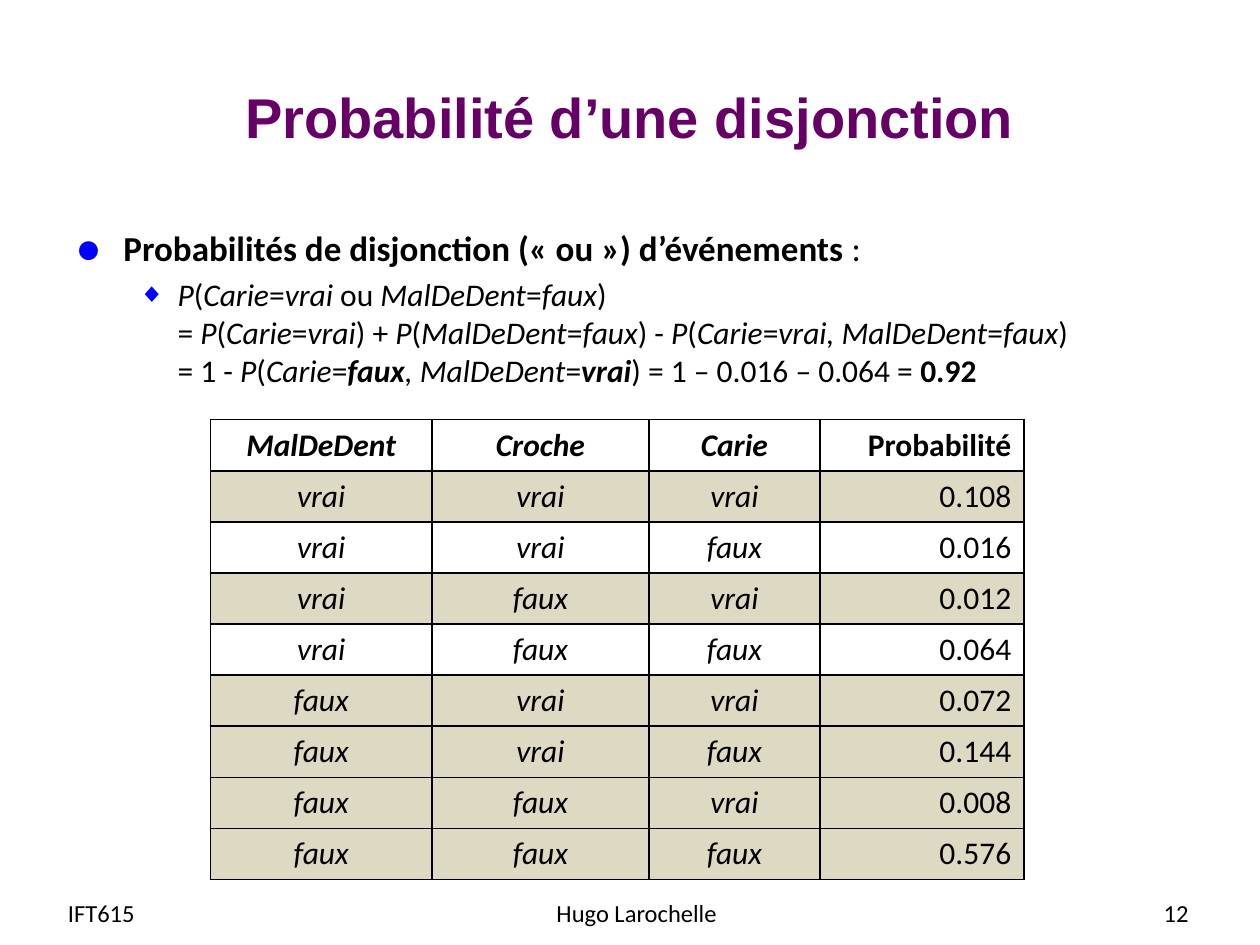
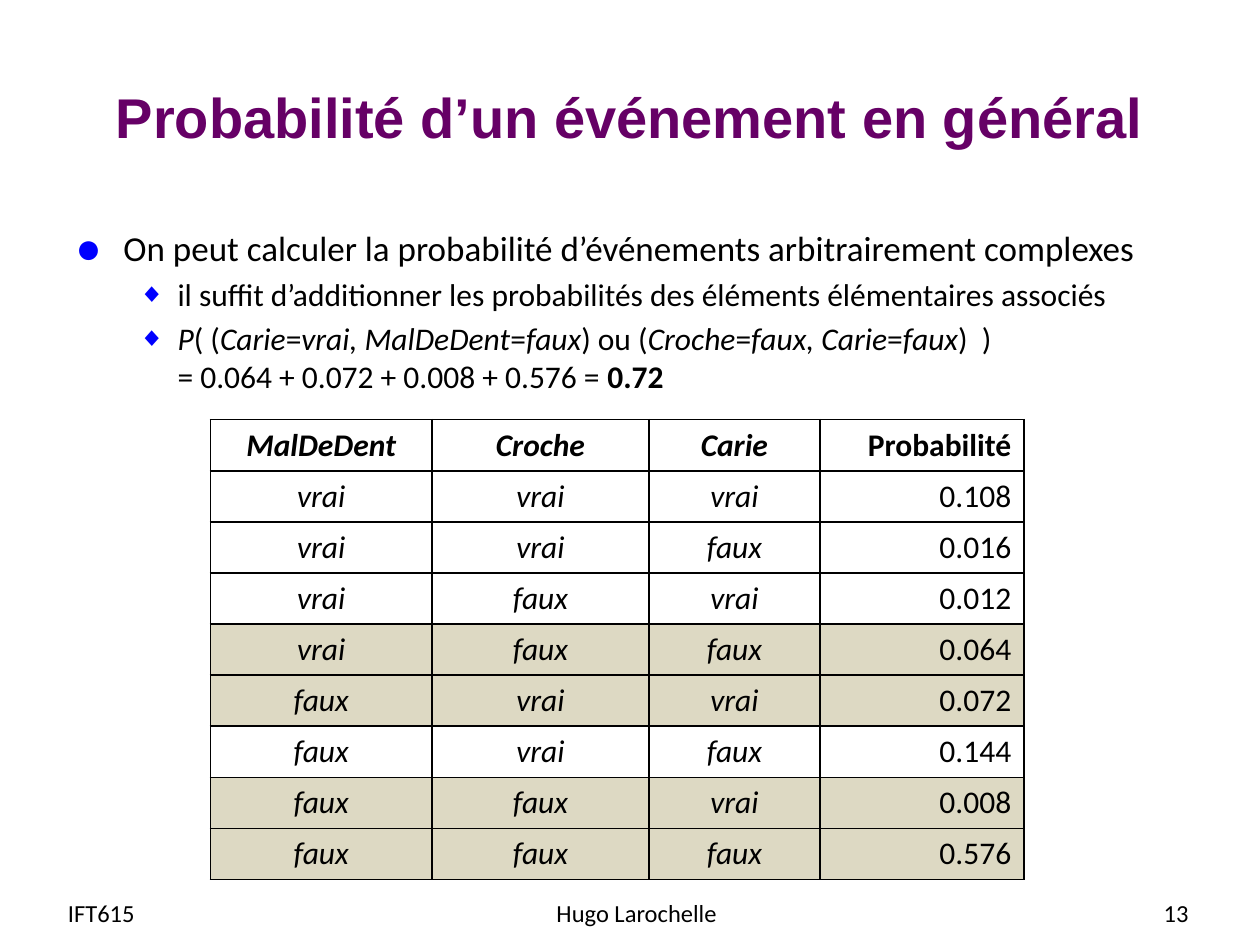
import itertools

import lxml.etree
import pptx
import pptx.dml.color
import pptx.enum.text
import pptx.oxml.ns
import pptx.util

Cm, Pt = pptx.util.Cm, pptx.util.Pt
RGBColor = pptx.dml.color.RGBColor
ALIGN = pptx.enum.text.PP_ALIGN
MIDDLE = pptx.enum.text.MSO_ANCHOR.MIDDLE
qn = pptx.oxml.ns.qn

PURPLE = RGBColor(0x66, 0x00, 0x66)
BLACK = RGBColor(0x00, 0x00, 0x00)
WHITE = RGBColor(0xFF, 0xFF, 0xFF)
BLUE = RGBColor(0x00, 0x00, 0xFF)
BEIGE = RGBColor(0xDD, 0xD9, 0xC3)

HEADERS = ("MalDeDent", "Croche", "Carie", "Probabilité")
PROBABILITIES = ("0.108", "0.016", "0.012", "0.064", "0.072", "0.144", "0.008", "0.576")
OUTCOMES = list(itertools.product(("vrai", "faux"), repeat=3))

# In the lines below, * switches bold and _ switches italic.
SLIDES = [
    {
        "number": "12",
        "title": "Probabilité d’une disjonction",
        "lines": [
            (0, "*Probabilités de disjonction («\u00a0ou\u00a0») d’événements *:"),
            (1, "_P_(_Carie_=_vrai _ou _MalDeDent_=_faux_)\n"
                "= _P_(_Carie_=_vrai_) + _P_(_MalDeDent_=_faux_) - "
                "_P_(_Carie_=_vrai, MalDeDent_=_faux_)\n"
                "= 1 - _P_(_Carie_=_*faux*, MalDeDent_=_*vrai*_) "
                "= 1 – 0.016 – 0.064 = *0.92*"),
        ],
        "event": lambda ache, hook, cavity: cavity == "vrai" or ache == "faux",
    },
    {
        "number": "13",
        "title": "Probabilité d’un événement en général",
        "lines": [
            (0, "On peut calculer la probabilité d’événements arbitrairement complexes"),
            (1, "il suffit d’additionner les probabilités des éléments élémentaires associés"),
            (1, "_P_( (_Carie_=_vrai, MalDeDent_=_faux_) ou "
                "(_Croche_=_faux, Carie_=_faux_)  )\n"
                "= 0.064 + 0.072 + 0.008 + 0.576 = *0.72*"),
        ],
        "event": lambda ache, hook, cavity: (
            (cavity == "vrai" and ache == "faux") or (hook == "faux" and cavity == "faux")),
    },
]

LEVELS = [
    {"size": 20, "margin": 0.97, "hang": 0.97, "bullet": "●", "scale": 125, "before": 0},
    {"size": 18, "margin": 2.06, "hang": 0.79, "bullet": "◆", "scale": 85, "before": 3.6},
]
FOOTER_TOP, FOOTER_HEIGHT = 17.88, 1.02
FOOTERS = [
    ("IFT615", 1.12, 4.9, ALIGN.LEFT),
    ("Hugo Larochelle", 8.81, 8.05, ALIGN.CENTER),
    ("{number}", 18.29, 5.92, ALIGN.RIGHT),
]
TABLE_LEFT, TABLE_TOP = 4.24, 8.46
COLUMN_WIDTHS = (4.47, 4.37, 3.45, 4.11)
ROW_HEIGHT = 1.03


def style(paragraph, size, align=ALIGN.LEFT, name="Calibri", color=BLACK):
    paragraph.alignment = align
    paragraph.font.size = Pt(size)
    paragraph.font.name = name
    paragraph.font.color.rgb = color


def add_box(slide, left, top, width, height):
    frame = slide.shapes.add_textbox(Cm(left), Cm(top), Cm(width), Cm(height)).text_frame
    frame.word_wrap = True
    return frame


def add_marked_text(paragraph, text):
    bold = italic = False
    for is_mark, chars in itertools.groupby(text, lambda char: char if char in "*_\n" else ""):
        chars = "".join(chars)
        if is_mark == "*":
            bold = not bold
        elif is_mark == "_":
            italic = not italic
        elif is_mark:
            paragraph.add_line_break()
        else:
            run = paragraph.add_run()
            run.text = chars
            run.font.bold, run.font.italic = bold, italic


def add_bullet(paragraph, level):
    props = paragraph._p.get_or_add_pPr()
    props.set("marL", str(Cm(level["margin"])))
    props.set("indent", str(-Cm(level["hang"])))
    color = lxml.etree.Element(qn("a:buClr"))
    lxml.etree.SubElement(color, qn("a:srgbClr"), val=str(BLUE))
    size = lxml.etree.Element(qn("a:buSzPct"), val=str(level["scale"] * 1000))
    font = lxml.etree.Element(qn("a:buFont"), typeface="Arial")
    char = lxml.etree.Element(qn("a:buChar"), char=level["bullet"])
    defaults = props.find(qn("a:defRPr"))
    for part in (color, size, font, char):
        defaults.addprevious(part)


def add_borders(cell):
    props = cell._tc.get_or_add_tcPr()
    for place, side in enumerate(("a:lnL", "a:lnR", "a:lnT", "a:lnB")):
        line = lxml.etree.Element(qn(side), w=str(Pt(1)))
        fill = lxml.etree.SubElement(line, qn("a:solidFill"))
        lxml.etree.SubElement(fill, qn("a:srgbClr"), val=str(BLACK))
        props.insert(place, line)


def add_title(slide, text):
    title = slide.shapes.title
    title.left, title.top, title.width, title.height = Cm(1.27), Cm(0.76), Cm(22.86), Cm(3.18)
    title.text_frame.text = text
    title.text_frame.vertical_anchor = MIDDLE
    heading = title.text_frame.paragraphs[0]
    style(heading, 32, ALIGN.CENTER, "Arial", PURPLE)
    heading.font.bold = True


def add_lines(slide, lines):
    frame = add_box(slide, 1.27, 4.45, 24.13, 4.34)
    for index, (depth, text) in enumerate(lines):
        paragraph = frame.add_paragraph() if index else frame.paragraphs[0]
        level = LEVELS[depth]
        paragraph.level = depth
        paragraph.space_before = Pt(level["before"])
        style(paragraph, level["size"])
        add_bullet(paragraph, level)
        add_marked_text(paragraph, text)


def add_probabilities(slide, event):
    rows = [HEADERS] + [(*o, p) for o, p in zip(OUTCOMES, PROBABILITIES)]
    table = slide.shapes.add_table(
        len(rows), len(HEADERS), Cm(TABLE_LEFT), Cm(TABLE_TOP),
        Cm(sum(COLUMN_WIDTHS)), Cm(ROW_HEIGHT * len(rows))).table
    table.first_row = table.horz_banding = False
    for column, width in zip(table.columns, COLUMN_WIDTHS):
        column.width = Cm(width)
    for r, values in enumerate(rows):
        table.rows[r].height = Cm(ROW_HEIGHT)
        shaded = r > 0 and event(*values[:3])
        for c, value in enumerate(values):
            cell = table.cell(r, c)
            cell.text = value
            cell.vertical_anchor = MIDDLE
            cell.fill.solid()
            cell.fill.fore_color.rgb = BEIGE if shaded else WHITE
            is_variable = c < 3
            paragraph = cell.text_frame.paragraphs[0]
            style(paragraph, 18, ALIGN.CENTER if is_variable else ALIGN.RIGHT)
            paragraph.font.bold, paragraph.font.italic = r == 0, is_variable
            add_borders(cell)


def add_footers(slide, number):
    for text, left, width, align in FOOTERS:
        frame = add_box(slide, left, FOOTER_TOP, width, FOOTER_HEIGHT)
        frame.vertical_anchor = MIDDLE
        frame.text = text.format(number=number)
        style(frame.paragraphs[0], 14, align)


deck = pptx.Presentation()
deck.slide_width, deck.slide_height = Cm(25.4), Cm(19.05)
for content in SLIDES:
    slide = deck.slides.add_slide(deck.slide_layouts[5])
    add_title(slide, content["title"])
    add_lines(slide, content["lines"])
    add_footers(slide, content["number"])
    add_probabilities(slide, content["event"])
deck.save("out.pptx")
